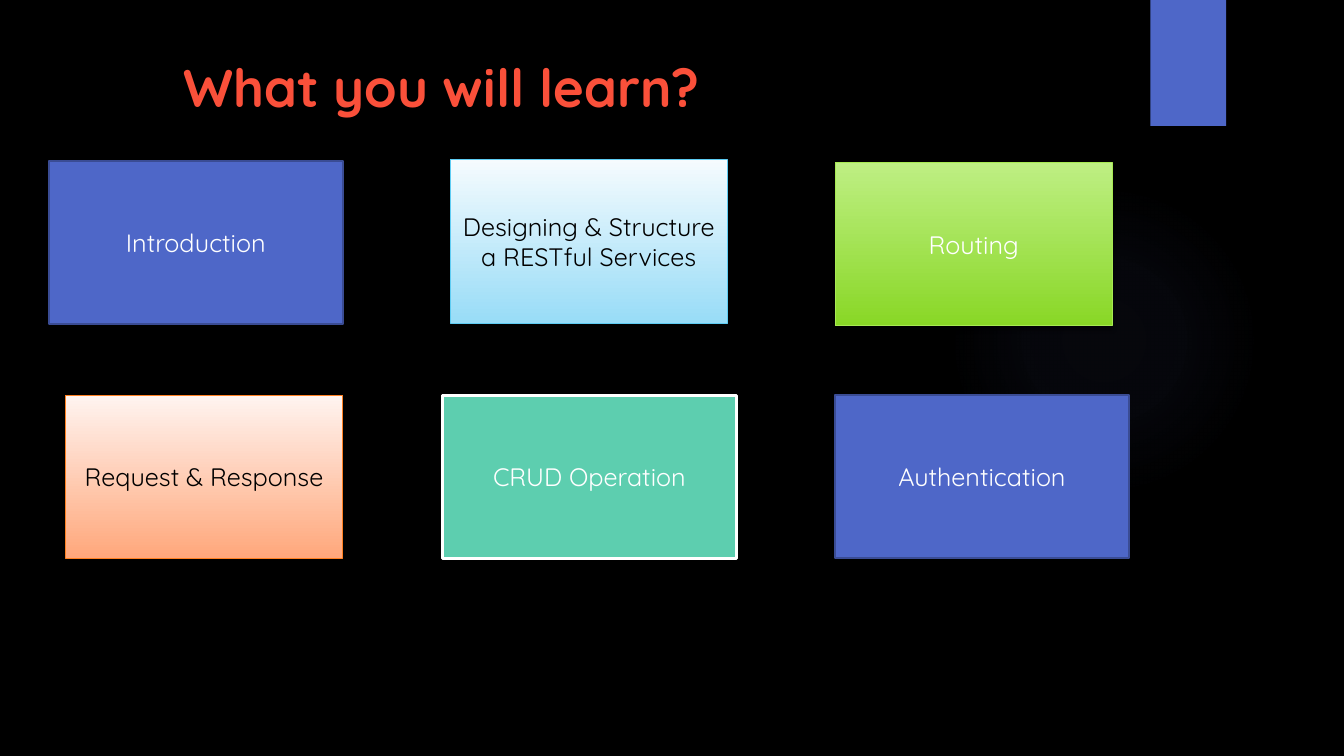
import lxml.etree
import pptx
import pptx.dml.color
import pptx.enum.shapes
import pptx.enum.text
import pptx.oxml
import pptx.oxml.ns
import pptx.util

Pt = pptx.util.Pt
shapes = pptx.enum.shapes.MSO_SHAPE
middle = pptx.enum.text.MSO_ANCHOR.MIDDLE
alignment = pptx.enum.text.PP_ALIGN
namespace = pptx.oxml.ns.nsdecls("a")
font_name = "Quicksand"


def color(value):
    return pptx.dml.color.RGBColor.from_string(value)


def add_shape(kind, left, top, width, height, shadow=False):
    shape = page.shapes.add_shape(kind, Pt(left), Pt(top), Pt(width), Pt(height))
    shape.shadow.inherit = False
    if shadow:
        effects = shape._element.spPr.find(pptx.oxml.ns.qn("a:effectLst"))
        effects.append(pptx.oxml.parse_xml(
            f'<a:outerShdw {namespace} blurRad="{Pt(3)}" dist="{Pt(2)}" dir="5400000" rotWithShape="0">'
            '<a:srgbClr val="000000"><a:alpha val="45000"/></a:srgbClr></a:outerShdw>'))
    return shape


deck = pptx.Presentation()
deck.slide_width = Pt(960)
deck.slide_height = Pt(540)
page = deck.slides.add_slide(deck.slide_layouts[5])
page.background.fill.solid()
page.background.fill.fore_color.rgb = color("000000")

glow = add_shape(shapes.OVAL, 677.5, 131.8, 221.8, 221.8)
glow.line.fill.background()
glow.fill.background()
stops = "".join(
    f'<a:gs pos="{position}000"><a:srgbClr val="5968B0"><a:alpha val="{opacity}000"/></a:srgbClr></a:gs>'
    for position, opacity in [(0, 7), (36, 6), (69, 0)])
gradient = pptx.oxml.parse_xml(
    f'<a:gradFill {namespace} rotWithShape="1"><a:gsLst>{stops}</a:gsLst><a:path path="circle">'
    '<a:fillToRect l="50000" t="50000" r="50000" b="50000"/></a:path></a:gradFill>')
properties = glow._element.spPr
properties.replace(properties.find(pptx.oxml.ns.qn("a:noFill")), gradient)

tab = add_shape(shapes.RECTANGLE, 821.8, 0, 54, 90, shadow=True)
tab.fill.solid()
tab.fill.fore_color.rgb = color("4E67C8")
tab.line.fill.background()

title = page.shapes.title
title.left, title.top, title.width, title.height = Pt(123.8), Pt(35.3), Pt(828), Pt(52.6)
title.text_frame.text = "What you will learn?"
title.text_frame.vertical_anchor = middle
heading = title.text_frame.paragraphs[0]
heading.alignment = alignment.LEFT
heading.font.name = font_name
heading.font.size = Pt(37.8)
heading.font.bold = True
heading.font.color.rgb = color("FA503A")

wide, narrow, card_height = 209.8, 198, 116.5
topics = [
    ("Introduction", 35, 115, wide, ["4E67C8"], "3A4C94", 1.5, "FFFFFF"),
    ("Designing & Structure a RESTful Services", 321.5, 114.3, narrow,
     ["F5FBFE", "98DCF7"], "5ECCF3", 0.75, "000000"),
    ("Routing", 596.5, 116.3, narrow, ["BEEF83", "89D726"], "A7EA52", 0.75, "FFFFFF"),
    ("Request & Response", 46.7, 282.4, narrow, ["FFF4F0", "FFA77B"], "FF8021", 0.75, "000000"),
    ("CRUD Operation", 316.1, 282.4, wide, ["5DCEAF"], "FFFFFF", 2.25, "FFFFFF"),
    ("Authentication", 596.5, 282.4, wide, ["4E67C8"], "3A4C94", 1.5, "FFFFFF"),
]
for topic, left, top, width, fills, border, border_width, text_color in topics:
    card = add_shape(shapes.RECTANGLE, left, top, width, card_height, shadow=topic == "Routing")
    if len(fills) == 1:
        card.fill.solid()
        card.fill.fore_color.rgb = color(fills[0])
    else:
        card.fill.gradient()
        card.fill.gradient_angle = 270
        for stop, value in zip(card.fill.gradient_stops, fills):
            stop.color.rgb = color(value)
    card.line.color.rgb = color(border)
    card.line.width = Pt(border_width)
    card.text_frame.text = topic
    card.text_frame.word_wrap = True
    card.text_frame.vertical_anchor = middle
    label = card.text_frame.paragraphs[0]
    label.alignment = alignment.CENTER
    label.font.name = font_name
    label.font.size = Pt(18)
    label.font.color.rgb = color(text_color)

deck.save("out.pptx")
